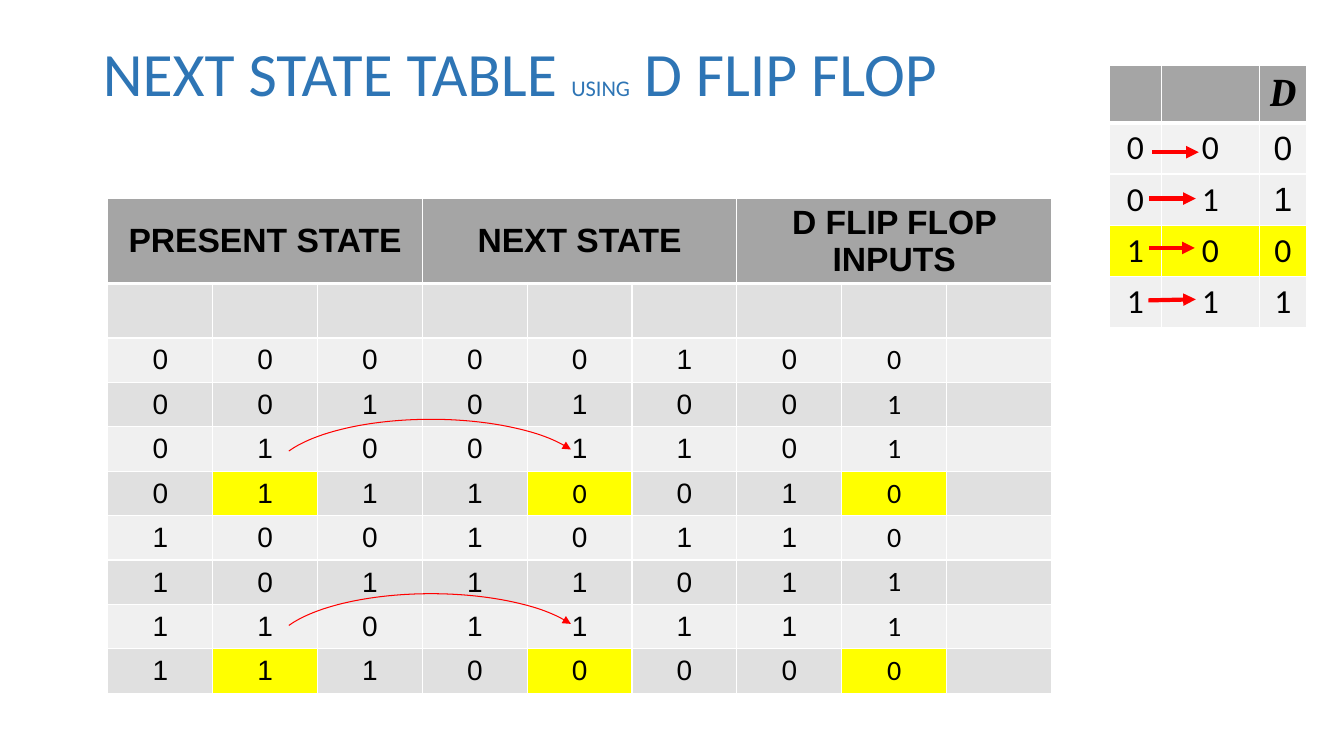
from lxml import etree
from pptx import Presentation
from pptx import util as u
from pptx.dml.color import RGBColor
from pptx.enum import shapes, text
from pptx.oxml import ns

COLORS = {
    "title": "2E75B5", "header": "A5A5A5", "dark": "E0E0E0", "light": "F0F0F0",
    "pale": "F2F2F2", "mark": "FFFF00", "arrow": "FF0000", "ink": "000000",
    "border": "FFFFFF",
}


class StateSlide:
    """Style and current slide, with one method for each kind of element."""

    def __init__(self, deck):
        self.slide = deck.slides.add_slide(deck.slide_layouts[5])

    def color(self, name):
        return RGBColor.from_string(COLORS[name])

    def title(self, box, parts):
        heading = self.slide.shapes.title
        heading.left, heading.top, heading.width, heading.height = map(u.Inches, box)
        frame = heading.text_frame
        frame.auto_size = text.MSO_AUTO_SIZE.NONE
        frame.vertical_anchor = text.MSO_ANCHOR.MIDDLE
        line = frame.paragraphs[0]
        line.alignment = text.PP_ALIGN.LEFT
        line.line_spacing = 0.9
        line.font.size = u.Pt(44)
        for words, size in parts:
            run = line.add_run()
            run.text = words
            run.font.size = u.Pt(size)
            run.font.name = "Calibri"
            run.font.color.rgb = self.color("title")
        line.add_line_break()

    def table(self, left, top, widths, heights):
        frame = self.slide.shapes.add_table(
            len(heights), len(widths), u.Inches(left), u.Inches(top),
            u.Inches(sum(widths)), u.Inches(sum(heights)))
        grid = frame.table
        grid.first_row = grid.horz_banding = False
        for column, width in zip(grid.columns, widths):
            column.width = u.Inches(width)
        for row, height in zip(grid.rows, heights):
            row.height = u.Inches(height)
        return grid

    def borders(self, cell, row):
        props = cell._tc.get_or_add_tcPr()
        thick = {0: "lnB", 1: "lnT"}.get(row)
        for side in ("lnL", "lnR", "lnT", "lnB"):
            width = u.Pt(3 if side == thick else 1)
            edge = etree.SubElement(props, ns.qn("a:" + side), w=str(width))
            solid = etree.SubElement(edge, ns.qn("a:solidFill"))
            etree.SubElement(solid, ns.qn("a:srgbClr"), val=COLORS["border"])

    def cell(self, grid, row, column, words, fill, size, font, bold=False, italic=False):
        cell = grid.cell(row, column)
        self.borders(cell, row)
        cell.fill.solid()
        cell.fill.fore_color.rgb = self.color(fill)
        cell.vertical_anchor = text.MSO_ANCHOR.MIDDLE
        if words:
            cell.text = words
            line = cell.text_frame.paragraphs[0]
            line.alignment = text.PP_ALIGN.CENTER
            line.font.size = u.Pt(size)
            line.font.name = font
            line.font.bold = bold
            line.font.italic = italic
            line.font.color.rgb = self.color("ink")

    def arrowhead(self, line):
        etree.SubElement(line._get_or_add_ln(), ns.qn("a:tailEnd"), type="triangle")

    def arrow(self, start, end):
        transition = self.slide.shapes.add_connector(
            shapes.MSO_CONNECTOR.STRAIGHT, *map(u.Inches, start + end))
        transition.line.color.rgb = self.color("arrow")
        transition.line.width = u.Pt(3)
        self.arrowhead(transition.line)
        etree.SubElement(transition._element.spPr, ns.qn("a:effectLst"))

    def arc(self, left, top, width, height):
        curve = self.slide.shapes.add_shape(
            shapes.MSO_SHAPE.ARC, *map(u.Inches, (left, top, width, height)))
        curve.adjustments[0] = 114.384
        curve.adjustments[1] = 209.146
        curve.shadow.inherit = False
        curve.fill.background()
        curve.line.color.rgb = self.color("arrow")
        curve.line.width = u.Pt(0.75)
        self.arrowhead(curve.line)


def excitation_table(page):
    """Draw the D excitation table and its transition arrows."""
    grid = page.table(11, 0.65, [0.52, 0.97, 0.47], [0.57] + [0.5] * 4)
    for column, words in enumerate(["", "", "D"]):
        page.cell(grid, 0, column, words, "header", 28, "Cambria", True, True)
    fills = ["pale", "light", "mark", "light"]
    for row, (bits, fill) in enumerate(zip(["000", "011", "100", "111"], fills), 1):
        for column, bit in enumerate(bits):
            font = "Arial" if column == 2 and row < 3 else "Calibri"
            page.cell(grid, row, column, bit, fill, 24, font)
    page.arrow((11.4, 1.97), (11.86, 1.97))
    page.arrow((11.4, 2.46), (11.85, 2.46))
    page.arrow((11.39, 2.98), (11.86, 2.97))
    page.arrow((11.43, 1.51), (11.89, 1.51))


def next_state_table(page):
    """Draw the next state table and its two curved arrows."""
    states = ["00000100", "00101001", "01001101", "01110010",
              "10010110", "10111011", "11011111", "11100000"]
    grid = page.table(1.07, 1.97, [1.04] * 9, [0.84, 0.54] + [0.44] * 8)
    headings = ["PRESENT STATE", "NEXT STATE", "D FLIP FLOP INPUTS"]
    for column in range(9):
        words = "" if column % 3 else headings[column // 3]
        page.cell(grid, 0, column, words, "header", 24, "Arial", True)
        page.cell(grid, 1, column, "", "dark", 20, "Arial")
    for first in (0, 3, 6):
        grid.cell(0, first).merge(grid.cell(0, first + 2))
    for row, bits in enumerate(states, 2):
        for column, bit in enumerate([*bits, ""]):
            marked = row in (5, 9) and column in (1, 4, 7)
            fill = "mark" if marked else "dark" if row % 2 else "light"
            font = "Calibri" if column == 7 or (row, column) == (5, 4) else "Arial"
            page.cell(grid, row, column, bit, fill, 20, font)
    for top in (4.16, 5.89):
        page.arc(2.69, top, 3.17, 1.16)


def main():
    """Build the slide and save it."""
    deck = Presentation()
    deck.slide_width, deck.slide_height = u.Inches(13.33), u.Inches(7.5)
    page = StateSlide(deck)
    page.title((0.92, 0.4, 11.5, 1.45),
               [("NEXT STATE TABLE ", 44), ("USING", 16), (" D FLIP FLOP", 44)])
    excitation_table(page)
    next_state_table(page)
    deck.save("out.pptx")


if __name__ == "__main__":
    main()
